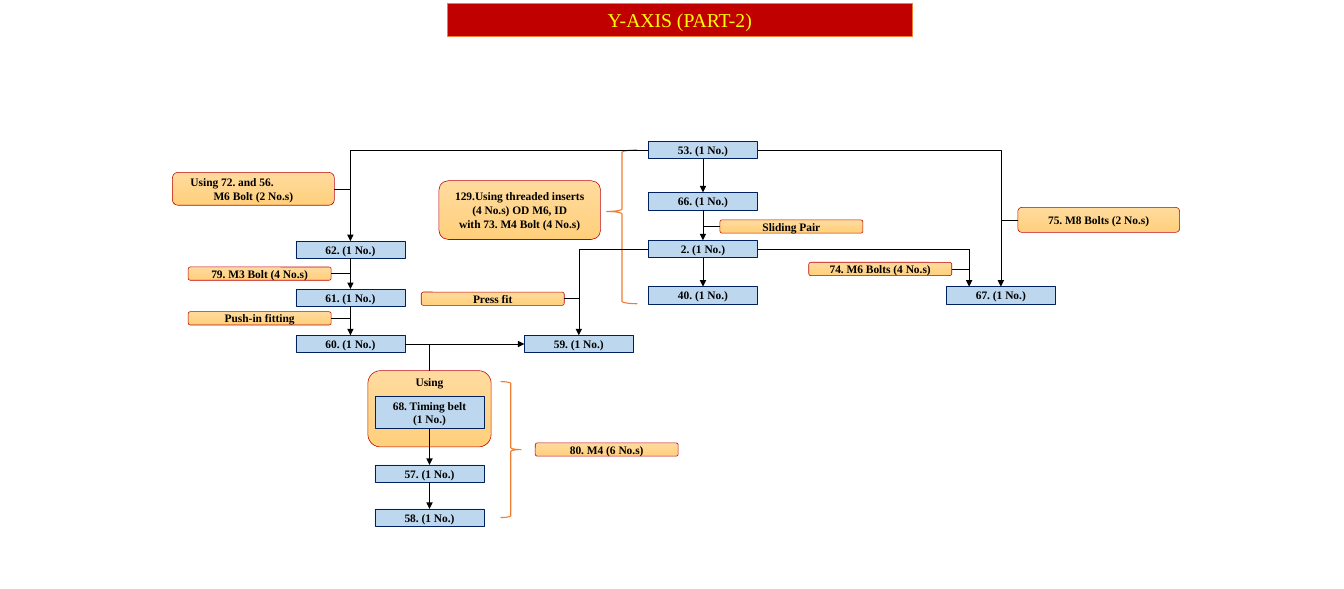
import collections
import itertools

import lxml.etree
import pptx
import pptx.dml.color
import pptx.enum.shapes
import pptx.enum.text
import pptx.oxml.ns
import pptx.util

Pt = pptx.util.Pt
RGBColor = pptx.dml.color.RGBColor
SHAPE = pptx.enum.shapes.MSO_SHAPE
CONNECTOR = pptx.enum.shapes.MSO_CONNECTOR
ALIGN = pptx.enum.text.PP_ALIGN
qn = pptx.oxml.ns.qn

Box = collections.namedtuple("Box", "left top width height")
Joint = collections.namedtuple("Joint", "shape side")
Point = collections.namedtuple("Point", "x y")

TOP, LEFT, BOTTOM, RIGHT = range(4)
NODE_WIDTH, NODE_HEIGHT = 100, 16
LABEL_WIDTH, LABEL_HEIGHT = 131, 12.2
WIDE_LABEL = 148.3
FONT = "Times New Roman"
BLACK = RGBColor(0x00, 0x00, 0x00)
YELLOW = RGBColor(0xFF, 0xFF, 0x00)
RED = RGBColor(0xC0, 0x00, 0x00)
ORANGE = RGBColor(0xED, 0x7D, 0x31)
NAVY = RGBColor(0x00, 0x20, 0x60)
PALE_BLUE = RGBColor(0xBD, 0xD7, 0xEE)
LIGHT_AMBER = RGBColor(0xFF, 0xDB, 0x9E)
DEEP_AMBER = RGBColor(0xFF, 0xD0, 0x7C)


def write(shape, text, size=10.5, color=BLACK, bold=True):
    """Fill a shape with centred text, one paragraph per line."""
    frame = shape.text_frame
    frame.text = text
    frame.word_wrap = True
    frame.auto_size = pptx.enum.text.MSO_AUTO_SIZE.NONE
    frame.vertical_anchor = pptx.enum.text.MSO_ANCHOR.MIDDLE
    for para in frame.paragraphs:
        para.alignment = ALIGN.CENTER
        para.font.name = FONT
        para.font.size = Pt(size)
        para.font.bold = bold
        para.font.color.rgb = color


def add_outline(page, kind, box, color, width=0.5):
    """Add a preset shape with a coloured outline and no shadow."""
    shape = page.shapes.add_shape(kind, *map(Pt, box))
    shape.shadow.inherit = False
    shape.line.color.rgb = color
    shape.line.width = Pt(width)
    return shape


def add_amber(page, box):
    """Add a rounded box shaded from light to deep amber."""
    shape = add_outline(page, SHAPE.ROUNDED_RECTANGLE, box, RED)
    shape.fill.gradient()
    shape.fill.gradient_angle = 270
    for stop, color in zip(shape.fill.gradient_stops, (LIGHT_AMBER, DEEP_AMBER)):
        stop.color.rgb = color
    return shape


def add_brace(page, kind, box):
    """Add an unfilled orange brace."""
    brace = add_outline(page, kind, box, ORANGE, 1)
    brace.fill.background()
    return brace


def add_line(page, start, end, arrow=True, elbow=False):
    """Draw a line between two points or joints."""
    first, last = (Point(0, 0) if isinstance(stop, Joint) else stop for stop in (start, end))
    kind = CONNECTOR.ELBOW if elbow else CONNECTOR.STRAIGHT
    line = page.shapes.add_connector(kind, *map(Pt, first + last))
    if isinstance(start, Joint):
        line.begin_connect(*start)
    if isinstance(end, Joint):
        line.end_connect(*end)
    line.line.color.rgb = BLACK
    line.line.width = Pt(0.5)
    properties = line._element.spPr
    if elbow:
        properties.find(qn("a:prstGeom")).set("prst", "bentConnector2")
    if arrow:
        lxml.etree.SubElement(properties.find(qn("a:ln")), qn("a:tailEnd"), type="triangle")
    lxml.etree.SubElement(properties, qn("a:effectLst"))


def add_label(page, box, text, reach=None):
    """Add an amber label, with a level lead line when it must reach an arrow."""
    label = add_amber(page, box)
    write(label, text)
    if reach is not None:
        side = RIGHT if reach > box.left else LEFT
        add_line(page, Joint(label, side), Point(reach, box.top + box.height / 2), arrow=False)
    return label


def add_node(page, middle, top, text, height=NODE_HEIGHT):
    """Add a blue part box centred on a vertical axis."""
    box = Box(middle - NODE_WIDTH / 2, top, NODE_WIDTH, height)
    node = add_outline(page, SHAPE.RECTANGLE, box, NAVY)
    node.fill.solid()
    node.fill.fore_color.rgb = PALE_BLUE
    write(node, text)
    return node


def add_chain(page, middle, rows):
    """Stack part boxes on one axis and join them with arrows."""
    nodes = [add_node(page, middle, *row) for row in rows]
    for upper, lower in itertools.pairwise(nodes):
        add_line(page, Joint(upper, BOTTOM), Joint(lower, TOP))
    return nodes


def add_title(page, box):
    """Turn the title placeholder into the red banner."""
    title = page.shapes.title
    title.left, title.top, title.width, title.height = map(Pt, box)
    title.fill.solid()
    title.fill.fore_color.rgb = RED
    title.line.color.rgb = ORANGE
    title.line.width = Pt(0.5)
    write(title, "Y-AXIS (PART-2)", 18, YELLOW, False)


def add_left_branch(page, area):
    """Build the column of parts 62, 61 and 60 with its fasteners."""
    left, top = area.left, area.top
    middle = left + 163
    nodes = add_chain(page, middle, [
        (top + 63, "62. (1 No.)"), (top + 107, "61. (1 No.)"), (top + 149.4, "60. (1 No.)")])
    bolts = add_label(page, Box(left, top, WIDE_LABEL, 30.2),
                      "Using 72. and 56.\nM6 Bolt (2 No.s)", middle)
    opening = bolts.text_frame.paragraphs[0]
    opening.alignment = ALIGN.LEFT
    opening._p.get_or_add_pPr().set("marL", str(Pt(8)))
    for offset, text in ((86.8, "79. M3 Bolt (4 No.s)"), (127.8, "Push-in fitting")):
        add_label(page, Box(left + 14.4, top + offset, LABEL_WIDTH, LABEL_HEIGHT), text, middle)
    return nodes


def add_center_branch(page, area):
    """Build the column of parts 53, 66, 2 and 40 with its brace."""
    left, top = area.left, area.top
    middle = left + 242
    nodes = add_chain(page, middle, [
        (top, "53. (1 No.)"), (top + 46.8, "66. (1 No.)"),
        (top + 90.7, "2. (1 No.)"), (top + 133.2, "40. (1 No.)")])
    add_label(page, Box(left + 257.5, top + 72, LABEL_WIDTH, LABEL_HEIGHT), "Sliding Pair", middle)
    brace = add_brace(page, SHAPE.LEFT_BRACE, Box(left + 153.8, top + 7.9, 28, 141))
    brace.adjustments[0], brace.adjustments[1] = 0.08, 0.4
    add_label(page, Box(left, top + 36, WIDE_LABEL, 54),
              "129.Using threaded inserts (4 No.s) OD M6, ID\nwith 73. M4 Bolt (4 No.s)")
    return nodes


def add_right_branch(page, area, upper, lower):
    """Build part 67, fed by two arrows with their bolts."""
    left, top = area.left, area.top
    middle, turn = left + 176, Point(left + 146.9, top + 98.7)
    node = add_node(page, middle, top + 133.2, "67. (1 No.)")
    add_line(page, Joint(upper, RIGHT), Joint(node, TOP), elbow=True)
    add_line(page, Joint(lower, RIGHT), turn, arrow=False)
    add_line(page, turn, Point(turn.x, top + 133.2))
    add_label(page, Box(left + 191.5, top + 60.5, WIDE_LABEL, 23), "75. M8 Bolts (2 No.s)", middle)
    add_label(page, Box(left, top + 110.9, LABEL_WIDTH, LABEL_HEIGHT),
              "74. M6 Bolts (4 No.s)", turn.x)


def add_press_fit(page, area):
    """Build part 59 and its press-fit label."""
    middle = area.left + 144.4
    node = add_node(page, middle, area.top + 39.6, "59. (1 No.)")
    add_label(page, Box(area.left, area.top, LABEL_WIDTH, LABEL_HEIGHT), "Press fit", middle)
    return node


def add_belt_stage(page, area):
    """Build the timing belt group with parts 57 and 58."""
    left, top = area.left, area.top
    group = add_amber(page, Box(left, top, 113, 70))
    caption = page.shapes.add_textbox(*map(Pt, (left + 4, top, 105, 20)))
    write(caption, "Using")
    add_chain(page, left + 56.5, [
        (top + 23.1, "68. Timing belt\n(1 No.)", 30.2),
        (top + 86.4, "57. (1 No.)"), (top + 126.8, "58. (1 No.)")])
    add_brace(page, SHAPE.RIGHT_BRACE, Box(left + 121.6, top + 10.1, 18.7, 124.6))
    add_label(page, Box(left + 153.3, top + 66.3, LABEL_WIDTH, LABEL_HEIGHT), "80. M4 (6 No.s)")
    add_line(page, Point(left + 56.5, top - 24.4), Joint(group, TOP), arrow=False)


def build_assembly_page(page):
    """Place every branch of the assembly and join them."""
    add_title(page, Box(409.7, 2.9, 426.2, 30.2))
    add_belt_stage(page, Box(337, 339.8, 284.3, 142.8))
    part_62, _, part_60 = add_left_branch(page, Box(158, 158, 213, 165.4))
    part_53, _, part_2, _ = add_center_branch(page, Box(402, 129.6, 388.5, 149.2))
    add_right_branch(page, Box(740.9, 129.6, 339.8, 149.2), part_53, part_2)
    part_59 = add_press_fit(page, Box(385.9, 267.8, 194.4, 55.6))
    add_line(page, Joint(part_53, LEFT), Joint(part_62, TOP), elbow=True)
    add_line(page, Joint(part_2, LEFT), Joint(part_59, TOP), elbow=True)
    add_line(page, Joint(part_60, RIGHT), Joint(part_59, LEFT))


def main():
    """Create and save the deck."""
    deck = pptx.Presentation()
    deck.slide_width, deck.slide_height = Pt(1231.2), Pt(540)
    build_assembly_page(deck.slides.add_slide(deck.slide_layouts[5]))
    deck.save("out.pptx")


if __name__ == "__main__":
    main()
